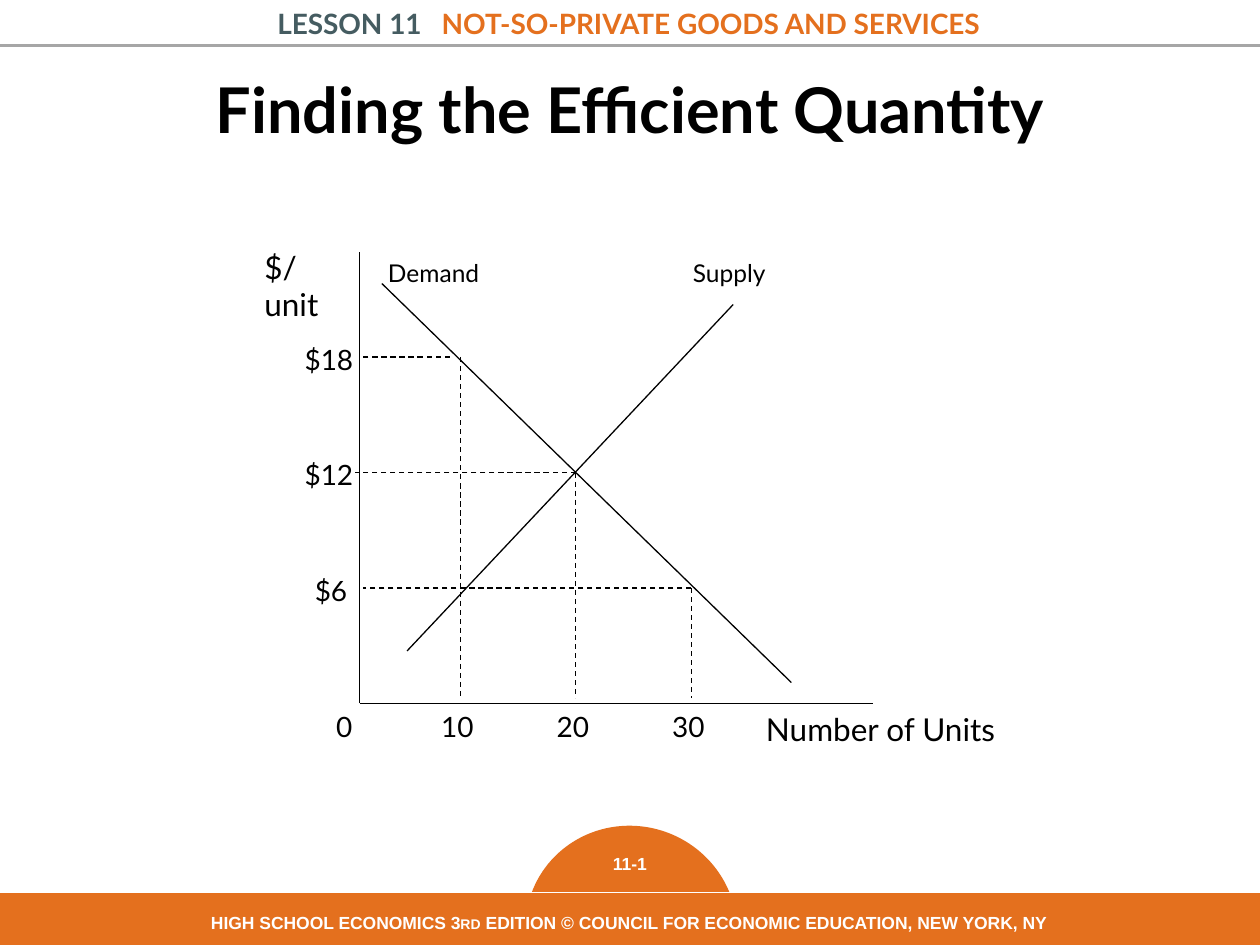
from lxml import etree
from pptx import Presentation
from pptx.dml.color import RGBColor
from pptx.enum.dml import MSO_LINE
from pptx.enum.shapes import MSO_CONNECTOR, MSO_SHAPE
from pptx.enum.text import MSO_ANCHOR, MSO_AUTO_SIZE, PP_ALIGN
from pptx.oxml.ns import qn
from pptx.util import Pt

STRAIGHT = MSO_CONNECTOR.STRAIGHT
DASH = MSO_LINE.DASH
LEFT, CENTER = PP_ALIGN.LEFT, PP_ALIGN.CENTER
COLORS = {"orange": "E4701E", "slate": "455C61", "gray": "A6A6A6",
          "black": "000000", "white": "FFFFFF"}

deck = Presentation()
deck.slide_width, deck.slide_height = Pt(720), Pt(540)
page = deck.slides.add_slide(deck.slide_layouts[6])


def add_text(left, top, width, height, runs, font="Lato", bold=False, align=LEFT, wrap=True):
    """Add a text box; runs are (text, size, color name)."""
    box = page.shapes.add_textbox(Pt(left), Pt(top), Pt(width), Pt(height))
    box.text_frame.word_wrap = wrap
    box.text_frame.auto_size = MSO_AUTO_SIZE.SHAPE_TO_FIT_TEXT
    para = box.text_frame.paragraphs[0]
    para.alignment = align
    for text, size, color in runs:
        span = para.add_run()
        span.text = text
        span.font.name, span.font.size, span.font.bold = font, Pt(size), bold
        span.font.color.rgb = RGBColor.from_string(COLORS[color])
    return box


def add_line(x1, y1, x2, y2, color="black", width=0.75, dash=None):
    line = page.shapes.add_connector(STRAIGHT, Pt(x1), Pt(y1), Pt(x2), Pt(y2))
    line.line.color.rgb = RGBColor.from_string(COLORS[color])
    line.line.width = Pt(width)
    if dash:
        line.line.dash_style = dash
    etree.SubElement(line._element.spPr, qn("a:effectLst"))


# Header, with a widened space between lesson number and name
add_line(0, 26, 720, 26, "gray", 2)
header = add_text(68.4, 0, 581.8, 26.6,
                  [("LESSON 11", 16, "slate"), (" ", 16, "slate"),
                   ("NOT-SO-PRIVATE GOODS AND SERVICES", 16, "orange")],
                  bold=True, align=CENTER)
gap = header.text_frame.paragraphs[0].runs[1]
gap._r.get_or_add_rPr().set("spc", "750")

# Footer: page number dome and bar
dome = page.shapes.add_shape(MSO_SHAPE.CHORD, Pt(302.4), Pt(471.6), Pt(116.6), Pt(119.5))
dome.adjustments[0], dome.adjustments[1] = 39.96, 148.42
dome.rotation = 112.5
bar = page.shapes.add_shape(MSO_SHAPE.RECTANGLE, Pt(-2.9), Pt(510), Pt(724.3), Pt(30))
for shape, outline, width in [(dome, "orange", 2), (bar, "white", 0.25)]:
    shape.shadow.inherit = False
    shape.fill.solid()
    shape.fill.fore_color.rgb = RGBColor.from_string(COLORS["orange"])
    shape.line.color.rgb = RGBColor.from_string(COLORS[outline])
    shape.line.width = Pt(width)
add_text(324, 484, 72, 19.4, [("11-1", 10, "white")], "Arial", True, CENTER)
add_text(92.2, 517.7, 534.2, 19.4,
         [("HIGH SCHOOL ECONOMICS 3", 10, "white"), ("RD", 8, "white"),
          (" EDITION © COUNCIL FOR ECONOMIC EDUCATION, NEW YORK, NY", 10, "white")],
         "Arial", True, CENTER)

# Title
title = add_text(36, 16.6, 648, 90, [("Finding the Efficient Quantity", 36, "black")],
                 bold=True, align=CENTER)
title.text_frame.auto_size = MSO_AUTO_SIZE.NONE
title.text_frame.vertical_anchor = MSO_ANCHOR.MIDDLE

# Axes and curves
AXIS_X, AXIS_Y = 205.5, 402
add_line(AXIS_X, 144, AXIS_X, AXIS_Y)
add_line(AXIS_X, AXIS_Y, 499, AXIS_Y)
add_line(218.2, 162, 452.2, 390)
add_line(232.6, 372, 419, 174)

# Axis and curve names
add_text(144, 138, 59, 29, [("$/unit", 18, "black")])
add_text(430.6, AXIS_Y, 146, 29, [("Number of Units", 18, "black")], wrap=False)
add_text(388.8, 144, 66.2, 24.5, [("Supply", 14, "black")])
add_text(214.6, 144, 84.2, 24.5, [("Demand", 14, "black")])

# Guides and tick labels, evenly spaced along both axes
STEP = 66
guides = [("$18", 167, 207.4, 257), ("$12", 167, 203, 329), ("$6", 172.8, 207.4, 395)]
for i, (price, label_left, start, end) in enumerate(guides):
    x, y = 263 + i * STEP, 204 + i * STEP
    add_line(end, y, start, y, dash=DASH)
    add_line(x, y, x, 399, dash=DASH)
    add_text(label_left, y - 12, 44, 26.6, [(price, 16, "black")])
    add_text(x - 18, AXIS_Y, 36, 26.6, [(str(10 * (i + 1)), 16, "black")])
add_text(185, AXIS_Y, 36, 26.6, [("0", 16, "black")])

deck.save("out.pptx")
